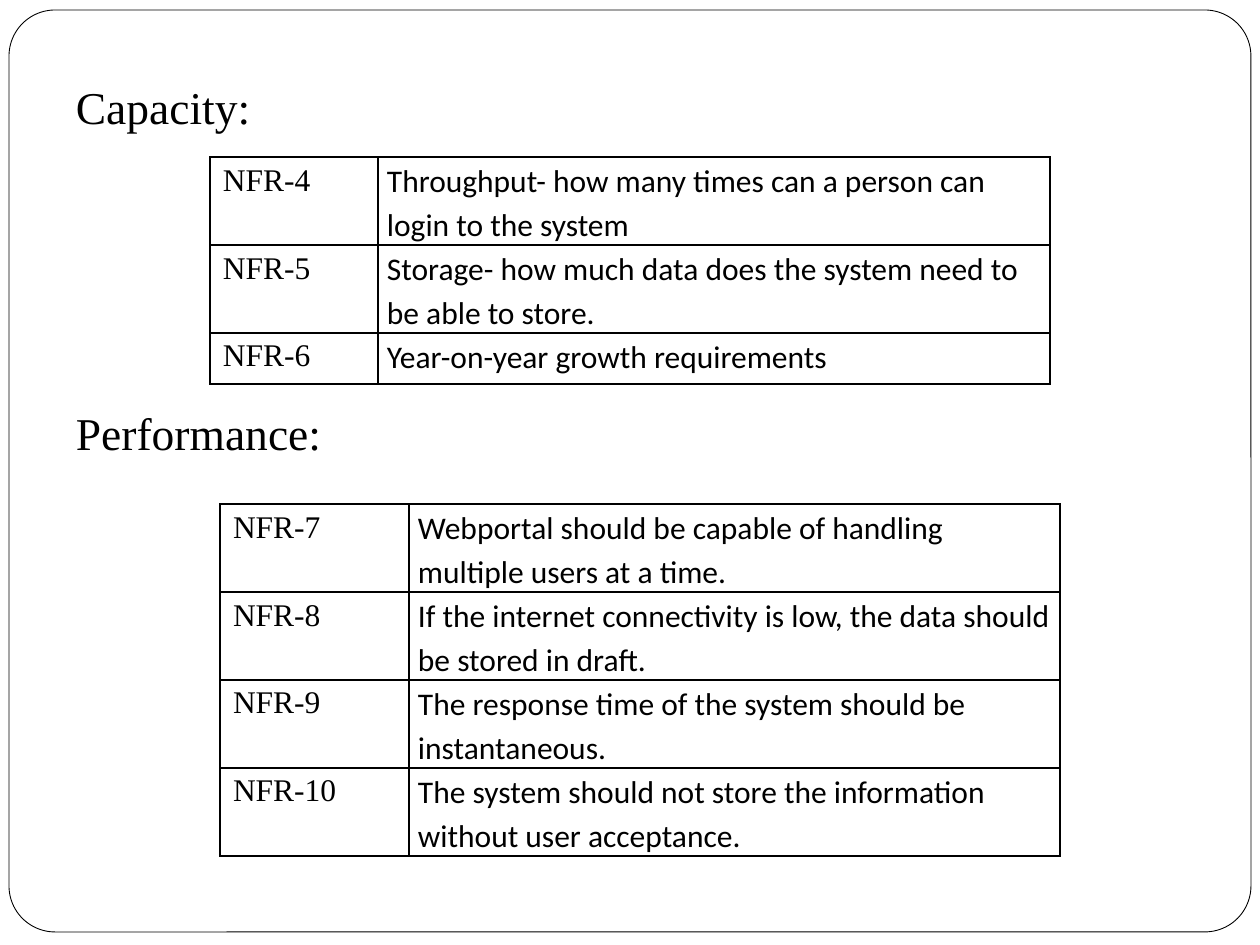
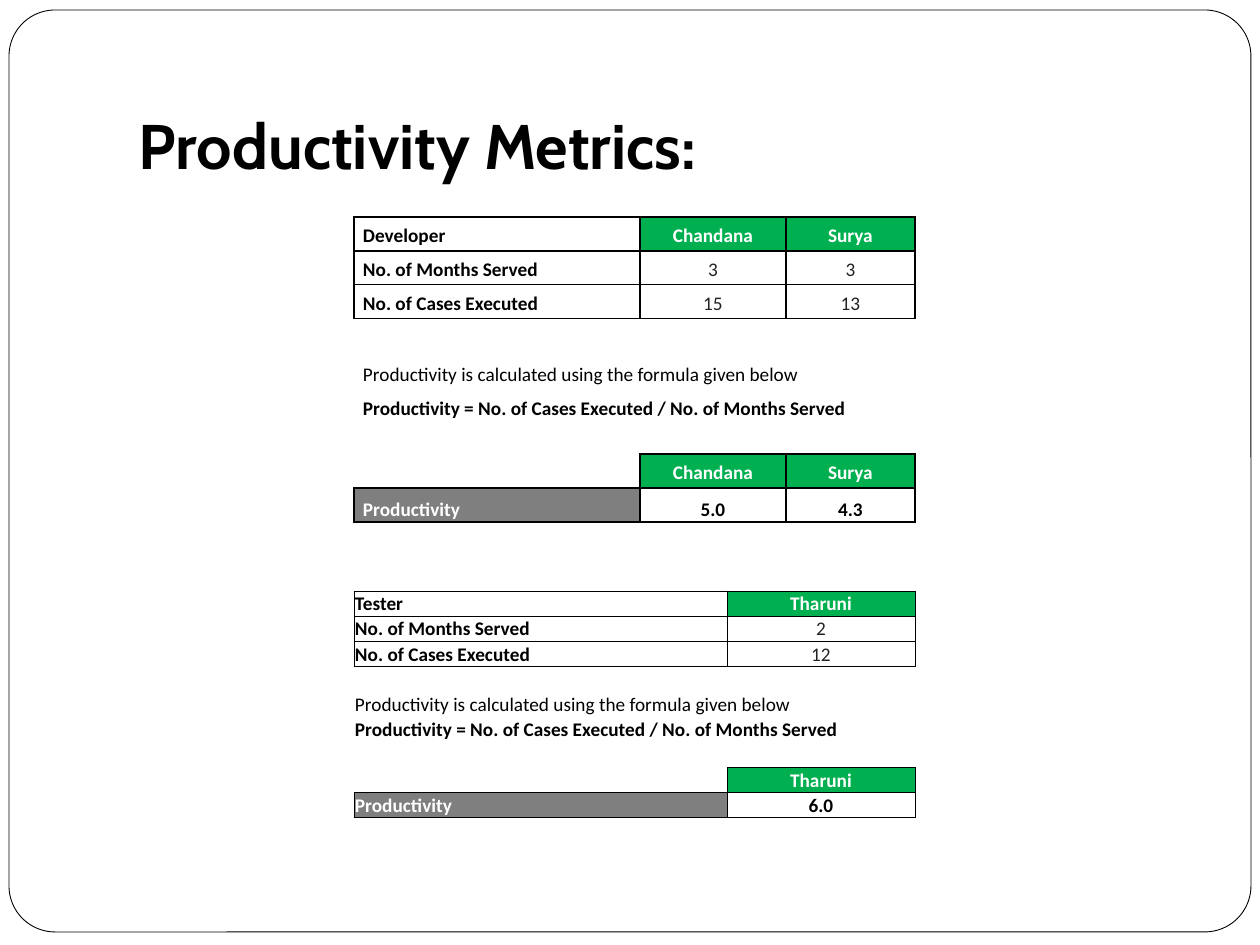
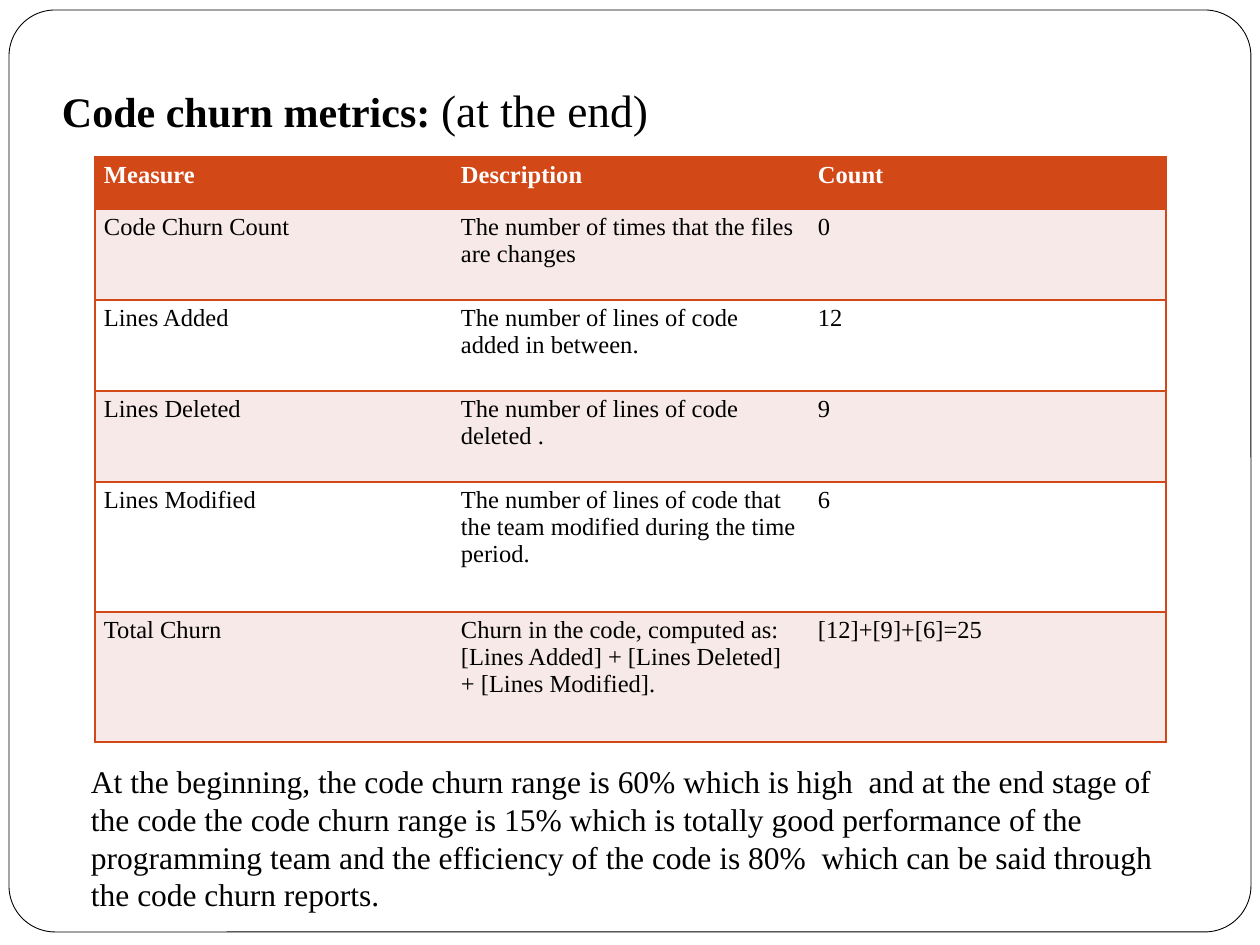
from lxml import etree
from pptx import Presentation
from pptx.dml.color import RGBColor
from pptx.enum.shapes import MSO_SHAPE
from pptx.enum.text import MSO_ANCHOR, PP_ALIGN
from pptx.oxml.ns import qn
from pptx.util import Emu, Pt

ROUNDED = MSO_SHAPE.ROUNDED_RECTANGLE
TOP, MIDDLE, BOTTOM = MSO_ANCHOR.TOP, MSO_ANCHOR.MIDDLE, MSO_ANCHOR.BOTTOM
LEFT, CENTER = PP_ALIGN.LEFT, PP_ALIGN.CENTER
PLAIN_TABLE = "{2D5ABB26-0587-4C30-8999-92F81FD0307C}"
EMU_PER_PX = 914400 / 126
PAGE_SIZE = 1260, 945

# Theme
SERIF, SANS, DISPLAY = "Times New Roman", "Calibri", "Cabin"
BLACK, WHITE, INK = "000000", "FFFFFF", "222222"
GREEN, GRAY, RUST, BLUSH = "00B050", "7F7F7F", "D34817", "F7E9E8"


def style(name, size, color=BLACK, bold=False, fill=None, align=LEFT, anchor=TOP):
    return {"font": {"name": name, "size": Pt(size), "bold": bold},
            "color": color, "fill": fill, "align": align, "anchor": anchor}


THEME = {
    "heading": style(SERIF, 26),
    "strong heading": style(SERIF, 24, bold=True),
    "title": style(DISPLAY, 36, bold=True, anchor=BOTTOM),
    "prose": style(SERIF, 18),
    "id": style(SERIF, 18),
    "requirement": style(SANS, 18),
    "label": style(SANS, 11, bold=True, anchor=MIDDLE),
    "person": style(SANS, 11, WHITE, True, GREEN, CENTER, MIDDLE),
    "count": style(SANS, 11, INK, align=CENTER, anchor=MIDDLE),
    "note": style(SANS, 11, anchor=BOTTOM),
    "formula": style(SANS, 11, bold=True, anchor=BOTTOM),
    "result label": style(SANS, 11, WHITE, True, GRAY, anchor=BOTTOM),
    "result": style(SANS, 11, bold=True, align=CENTER, anchor=BOTTOM),
    "churn head": style(SERIF, 14, WHITE, True, RUST),
    "churn odd": style(SERIF, 14, fill=BLUSH),
    "churn even": style(SERIF, 14, fill=WHITE),
}

# Cell padding: insets (left, top, right, bottom) and line spacing
PADDING = {
    "roomy": ((13, 6, 13, 6), 1),
    "tight": ((9, 0, 9, 0), 1.15),
    "slim": ((1, 1, 1, 0), 1),
    "even": ((9, 5, 9, 5), 1),
}

# Content
CAPACITY = [
    ("NFR-4", "Throughput- how many times can a person can login to the system"),
    ("NFR-5", "Storage- how much data does the system need to be able to store."),
    ("NFR-6", "Year-on-year growth requirements"),
]
PERFORMANCE = [
    ("NFR-7", "Webportal should be capable of handling multiple users at a time."),
    ("NFR-8", "If the internet connectivity is low, the data should be stored in draft."),
    ("NFR-9", "The response time of the system should be instantaneous."),
    ("NFR-10", "The system should not store the information without user acceptance."),
]
DEVELOPERS = [("Chandana", 3, 15), ("Surya", 3, 13)]
TESTERS = [("Tharuni", 2, 12)]
MONTHS, CASES = "No. of Months Served", "No. of Cases Executed"
CHURN = [
    ("Measure", "Description", "Count"),
    ("Code Churn Count", "The number of times that the files are changes", "0"),
    ("Lines Added", "The number of lines of code added in between.", "12"),
    ("Lines Deleted", "The number of lines of code deleted .", "9"),
    ("Lines Modified",
     "The number of lines of code that the team modified during the time period.", "6"),
    ("Total Churn",
     "Churn in the code, computed as: [Lines Added] + [Lines Deleted] + [Lines Modified].",
     "[12]+[9]+[6]=25"),
]
CHURN_SUMMARY = (
    "At the beginning, the code churn range is 60% which is high  and at the end stage of "
    "the code the code churn range is 15% which is totally good performance of the "
    "programming team and the efficiency of the code is 80%  which can be said through "
    "the code churn reports.")


def px(length):
    return Emu(round(length * EMU_PER_PX))


def set_all(target, values):
    for name, value in values.items():
        setattr(target, name, value)


def set_margins(target, insets):
    sides = ("margin_left", "margin_top", "margin_right", "margin_bottom")
    set_all(target, dict(zip(sides, map(px, insets))))


def add_span(para, text, look):
    span = para.add_run()
    span.text = text
    set_all(span.font, look["font"])
    span.font.color.rgb = RGBColor.from_string(look["color"])


def add_text(page, place, paragraphs, gap=0):
    """Each paragraph is a list of (text, style name); gap is in points."""
    box = page.shapes.add_textbox(*map(px, place))
    frame = box.text_frame
    frame.word_wrap = True
    frame.vertical_anchor = THEME[paragraphs[0][0][1]]["anchor"]
    set_margins(frame, (13, 6, 13, 13 if frame.vertical_anchor == BOTTOM else 6))
    for number, spans in enumerate(paragraphs):
        para = frame.add_paragraph() if number else frame.paragraphs[0]
        if number:
            para.space_before = Pt(gap)
        for text, name in spans:
            add_span(para, text, THEME[name])


def add_border(cell, sides, color, width):
    properties = cell._tc.get_or_add_tcPr()
    for side in "LRTB":
        if side in sides:
            line = etree.SubElement(properties, qn(f"a:ln{side}"), w=str(Pt(width)))
            fill = etree.SubElement(line, qn("a:solidFill"))
            etree.SubElement(fill, qn("a:srgbClr"), val=color)


def write_cell(cell, text, look, spacing):
    cell.vertical_anchor = look["anchor"]
    para = cell.text_frame.paragraphs[0]
    para.alignment, para.line_spacing = look["align"], spacing
    add_span(para, text, look)
    if look["fill"]:
        cell.fill.solid()
        cell.fill.fore_color.rgb = RGBColor.from_string(look["fill"])


def add_table(page, corner, columns, heights, rows, color=BLACK, width=1, grid=True):
    """columns: (width, padding name); rows: lists of (text, style name) or None.

    A row of one cell spans the table and has no border; an empty row is a gap.
    """
    size = sum(wide for wide, _ in columns), sum(heights)
    holder = page.shapes.add_table(len(rows), len(columns), *map(px, (*corner, *size)))
    table = holder.table
    table.first_row = table.horz_banding = False
    holder._element.find(".//" + qn("a:tableStyleId")).text = PLAIN_TABLE
    for column, (wide, _) in zip(table.columns, columns):
        column.width = px(wide)
    last = len(columns) - 1
    for r, row in enumerate(rows):
        table.rows[r].height = px(heights[r])
        if len(row) == 1:
            table.cell(r, 0).merge(table.cell(r, last))
        for c, (_, padding) in enumerate(columns):
            cell = table.cell(r, c)
            insets, spacing = PADDING[padding]
            set_margins(cell, insets)
            content = row[c] if c < len(row) else None
            if content and len(row) > 1:
                outer = "L" * (c == 0) + "R" * (c == last)
                add_border(cell, "LRTB" if grid else "TB" + outer, color, width)
            cell.fill.background()
            if content:
                write_cell(cell, content[0], THEME[content[1]], spacing)
            else:
                # A small type size keeps an empty row from growing
                para = cell.text_frame.paragraphs[0]
                etree.SubElement(para._p, qn("a:endParaRPr"), sz="800")


def productivity_rows(role, people):
    names = [(name, "person") for name, _, _ in people]
    return [
        [(role, "label"), *names],
        [(MONTHS, "label"), *((str(months), "count") for _, months, _ in people)],
        [(CASES, "label"), *((str(cases), "count") for _, _, cases in people)],
        [],
        [("Productivity is calculated using the formula given below", "note")],
        [(f"Productivity = {CASES} / {MONTHS}", "formula")],
        [],
        [None, *names],
        [("Productivity", "result label"),
         *((f"{cases / months:.1f}", "result") for _, months, cases in people)],
    ]


def requirement_rows(items):
    return [[(code, "id"), (text, "requirement")] for code, text in items]


def churn_rows():
    looks = ["churn head"] + ["churn odd", "churn even"] * 3
    return [[(text, look) for text in row] for row, look in zip(CHURN, looks)]


def add_page(deck):
    page = deck.slides.add_slide(deck.slide_layouts[6])
    frame = page.shapes.add_shape(ROUNDED, *map(px, (9, 10, 1242, 922)))
    frame.adjustments[0] = 0.05
    frame.shadow.inherit = False
    frame.fill.solid()
    frame.fill.fore_color.rgb = RGBColor.from_string(WHITE)
    frame.line.color.rgb = RGBColor.from_string(BLACK)
    frame.line.width = Pt(0.5)
    return page


def main():
    deck = Presentation()
    deck.slide_width, deck.slide_height = map(px, PAGE_SIZE)

    # Capacity and performance requirements
    page = add_page(deck)
    add_text(page, (63, 73, 1134, 771),
             [[("Capacity:", "heading")], [("Performance:", "heading")]], gap=155)
    add_table(page, (210, 157), [(168, "roomy"), (672, "tight")], [88, 88, 51],
              requirement_rows(CAPACITY))
    add_table(page, (220, 504), [(189, "roomy"), (651, "tight")], [88] * 4,
              requirement_rows(PERFORMANCE))

    # Productivity metrics
    page = add_page(deck)
    add_text(page, (126, 38, 1071, 157), [[("Productivity Metrics:", "title")]])
    add_table(page, (354, 217), [(286, "tight"), (146, "tight"), (129, "tight")],
              [305 / 9] * 9, productivity_rows("Developer", DEVELOPERS))
    add_table(page, (354, 591), [(373, "slim"), (188, "slim")],
              [227 / 9] * 9, productivity_rows("Tester", TESTERS), width=0.5)

    # Code churn metrics
    page = add_page(deck)
    add_text(page, (49, 76, 1086, 97),
             [[("Code churn metrics: ", "strong heading"), ("(at the end)", "heading")]])
    add_table(page, (95, 157), [(357, "even")] * 3, [52, 91, 91, 91, 130, 130],
              churn_rows(), color=RUST, grid=False)
    add_text(page, (78, 756, 1103, 127), [[(CHURN_SUMMARY, "prose")]])

    deck.save("out.pptx")


if __name__ == "__main__":
    main()
